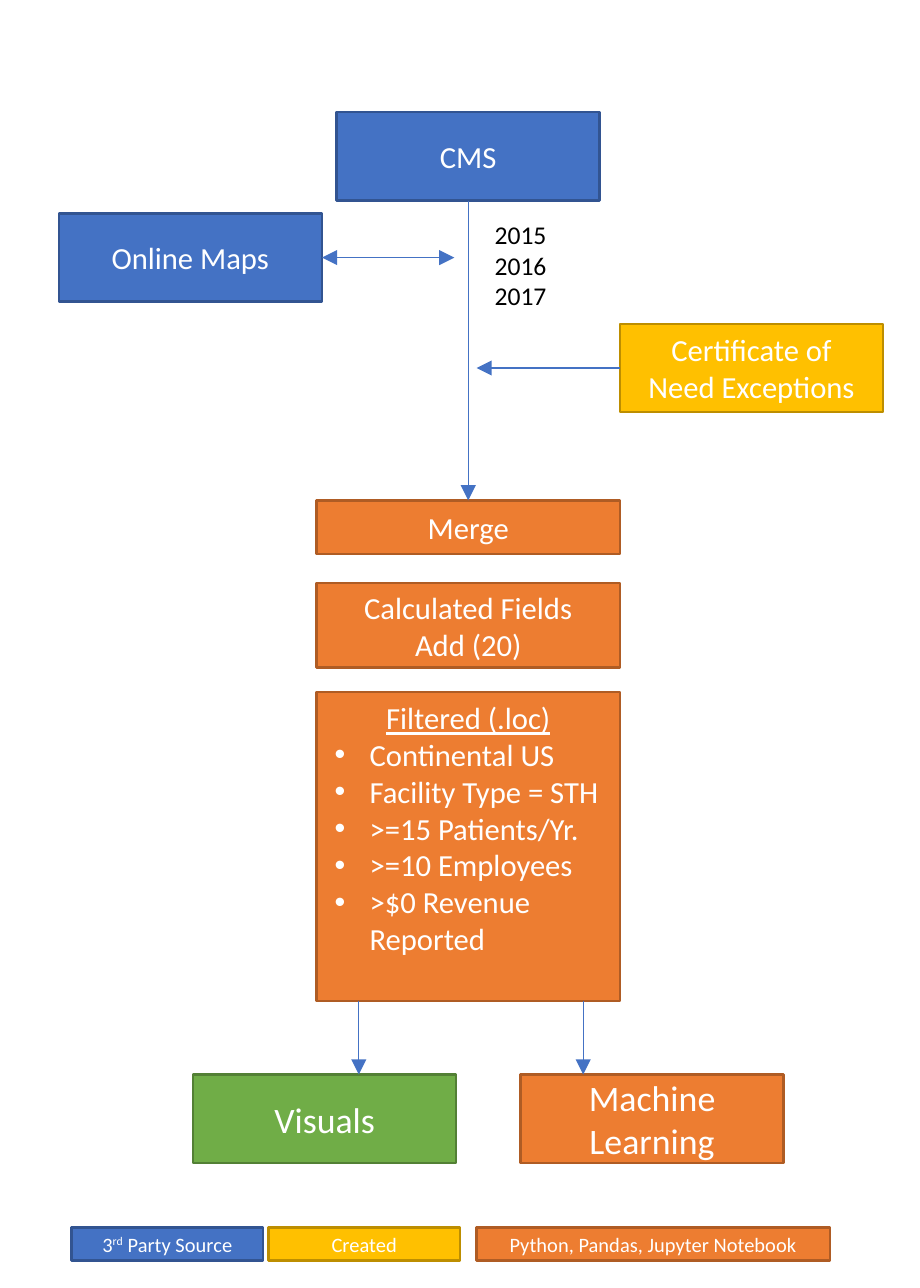
import pptx
import pptx.dml.color
import pptx.enum.shapes
import pptx.enum.text
import pptx.oxml.ns
import pptx.util
from lxml import etree

Inches = pptx.util.Inches
Pt = pptx.util.Pt
ALIGN = pptx.enum.text.PP_ALIGN
ANCHOR = pptx.enum.text.MSO_ANCHOR
FIT = pptx.enum.text.MSO_AUTO_SIZE
BOTTOM, RIGHT, LEFT, TOP = 2, 3, 1, 0

# Content: name, role, (left, top), size class, type size, lines
# "^" encloses superscript, "_" starts an underlined line, "•" a bulleted one
STEPS = [
    ("cms", "source", (1.83, 0.61), "node", "body", ["CMS"]),
    ("maps", "source", (0.32, 1.16), "node", "body", ["Online Maps"]),
    ("exceptions", "created", (3.37, 1.76), "node", "body",
     ["Certificate of Need Exceptions"]),
    ("merge", "python", (1.72, 2.72), "merge", "body", ["Merge"]),
    ("calculated", "python", (1.72, 3.17), "calculated", "body",
     ["Calculated Fields", "Add (20)"]),
    ("filtered", "python", (1.72, 3.76), "filtered", "body",
     ["_Filtered (.loc)", "•Continental US", "•Facility Type = STH",
      "•>=15 Patients/Yr.", "•>=10 Employees", "•>$0 Revenue Reported"]),
    ("dashboard", "output", (1.05, 5.84), "node", "result", ["Visuals"]),
    ("learning", "python", (2.83, 5.84), "node", "result", ["Machine Learning"]),
    ("source key", "source", (0.39, 6.67), "key", "key", ["3^rd^ Party Source"]),
    ("created key", "created", (1.46, 6.67), "key", "key", ["Created"]),
    ("python key", "python", (2.59, 6.67), "wide key", "key",
     ["Python, Pandas, Jupyter Notebook"]),
]
YEARS = ["2015", "2016", "2017"]
YEARS_BOX = (2.59, 1.14, 0.49, 0.61)

# Start, end, joined start side, joined end side, arrowheads
ARROWS = [
    ((2.55, 1.09), (2.55, 2.72), ("cms", BOTTOM), ("merge", TOP), ["tailEnd"]),
    ((1.75, 1.4), (2.47, 1.4), ("maps", RIGHT), None, ["headEnd", "tailEnd"]),
    ((3.37, 2), (2.59, 2), ("exceptions", LEFT), None, ["tailEnd"]),
    ((1.95, 5.44), (1.95, 5.84), None, None, ["tailEnd"]),
    ((3.17, 5.44), (3.17, 5.84), None, None, ["tailEnd"]),
]

BOX_SIZES = {
    "node": (1.43, 0.48), "merge": (1.65, 0.29), "calculated": (1.65, 0.46),
    "filtered": (1.65, 1.68), "key": (1.04, 0.18), "wide key": (1.92, 0.18),
}
BULLET_INDENT = 0.19
FILTER_BOTTOM_INSET = 0.25

THEME = {
    "font": "Calibri",
    "fill": {"source": "4472C4", "created": "FFC000", "python": "ED7D31", "output": "70AD47"},
    "edge": {"source": "325491", "created": "BD8E00", "python": "AF5C24", "output": "538035"},
    "light": "FFFFFF", "dark": "000000", "arrow": "4472C4",
    "size": {"body": 12, "result": 14, "years": 10, "key": 8},
    "edge width": 1, "arrow width": 0.5,
}


def rgb(code):
    return pptx.dml.color.RGBColor.from_string(code)


def apply(target, values):
    for name, value in values.items():
        setattr(target, name, value)


def add_child(parent, tag, **attributes):
    return etree.SubElement(parent, pptx.oxml.ns.qn(tag), attributes)


def write_line(paragraph, line, size, color, align):
    bulleted, underlined = line.startswith("•"), line.startswith("_")
    paragraph.alignment = ALIGN.LEFT if bulleted else align
    if bulleted:
        properties = paragraph._p.get_or_add_pPr()
        indent = Inches(BULLET_INDENT)
        properties.set("marL", str(indent))
        properties.set("indent", str(-indent))
        add_child(properties, "a:buFont", typeface="Arial")
        add_child(properties, "a:buChar", char="•")
    for position, text in enumerate(line.lstrip("•_").split("^")):
        run = paragraph.add_run()
        run.text = text
        apply(run.font, {"name": THEME["font"], "size": Pt(THEME["size"][size]),
                         "underline": underlined})
        run.font.color.rgb = rgb(color)
        if position % 2:
            run._r.get_or_add_rPr().set("baseline", "30000")


def write_lines(frame, lines, size, color, align):
    for position, line in enumerate(lines):
        paragraph = frame.add_paragraph() if position else frame.paragraphs[0]
        write_line(paragraph, line, size, color, align)


def add_step(slide, role, corner, box_size, size, lines):
    step = slide.shapes.add_shape(pptx.enum.shapes.MSO_SHAPE.RECTANGLE,
                                  *map(Inches, corner + BOX_SIZES[box_size]))
    step.shadow.inherit = False
    step.fill.solid()
    step.fill.fore_color.rgb = rgb(THEME["fill"][role])
    step.line.color.rgb = rgb(THEME["edge"][role])
    step.line.width = Pt(THEME["edge width"])
    apply(step.text_frame, {"word_wrap": True, "vertical_anchor": ANCHOR.MIDDLE})
    write_lines(step.text_frame, lines, size, THEME["light"], ALIGN.CENTER)
    return step


def add_arrow(slide, steps, start, end, start_join, end_join, heads):
    arrow = slide.shapes.add_connector(pptx.enum.shapes.MSO_CONNECTOR.STRAIGHT,
                                       *map(Inches, start + end))
    if start_join:
        arrow.begin_connect(steps[start_join[0]], start_join[1])
        if not end_join:
            arrow.end_y = arrow.begin_y
    if end_join:
        arrow.end_connect(steps[end_join[0]], end_join[1])
    arrow.line.color.rgb = rgb(THEME["arrow"])
    arrow.line.width = Pt(THEME["arrow width"])
    for head in heads:
        add_child(arrow.line._get_or_add_ln(), "a:" + head, type="triangle")
    add_child(arrow._element.spPr, "a:effectLst")


def main():
    deck = pptx.Presentation()
    apply(deck, {"slide_width": Inches(5), "slide_height": Inches(7)})
    slide = deck.slides.add_slide(deck.slide_layouts[6])

    # Process steps and colour key
    steps = {name: add_step(slide, *details) for name, *details in STEPS}
    steps["filtered"].text_frame.margin_bottom = Inches(FILTER_BOTTOM_INSET)

    # Data years
    years = slide.shapes.add_textbox(*map(Inches, YEARS_BOX)).text_frame
    apply(years, {"word_wrap": False, "auto_size": FIT.SHAPE_TO_FIT_TEXT})
    write_lines(years, YEARS, "years", THEME["dark"], ALIGN.LEFT)

    # Flow arrows
    for arrow in ARROWS:
        add_arrow(slide, steps, *arrow)

    deck.save("out.pptx")


if __name__ == "__main__":
    main()
